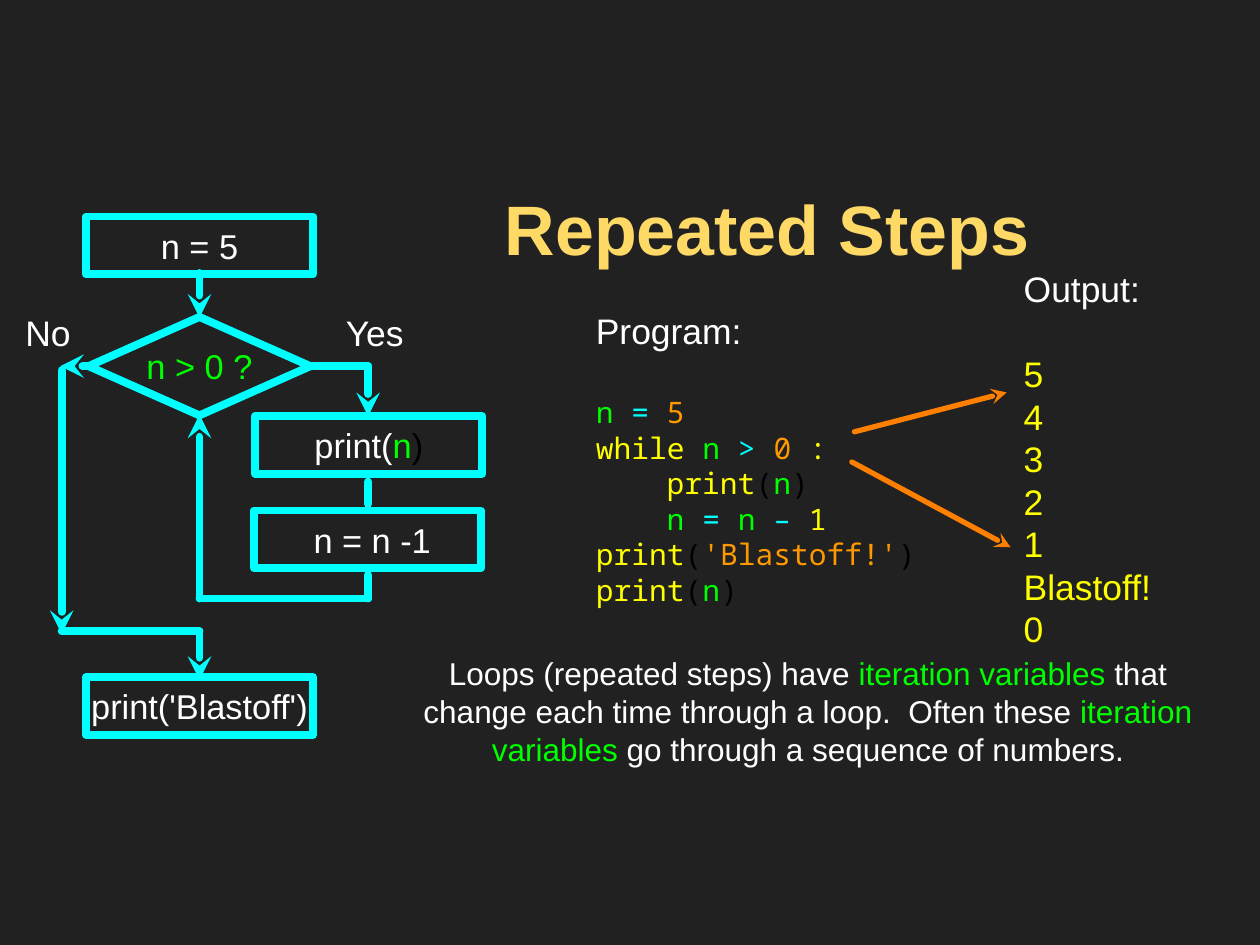
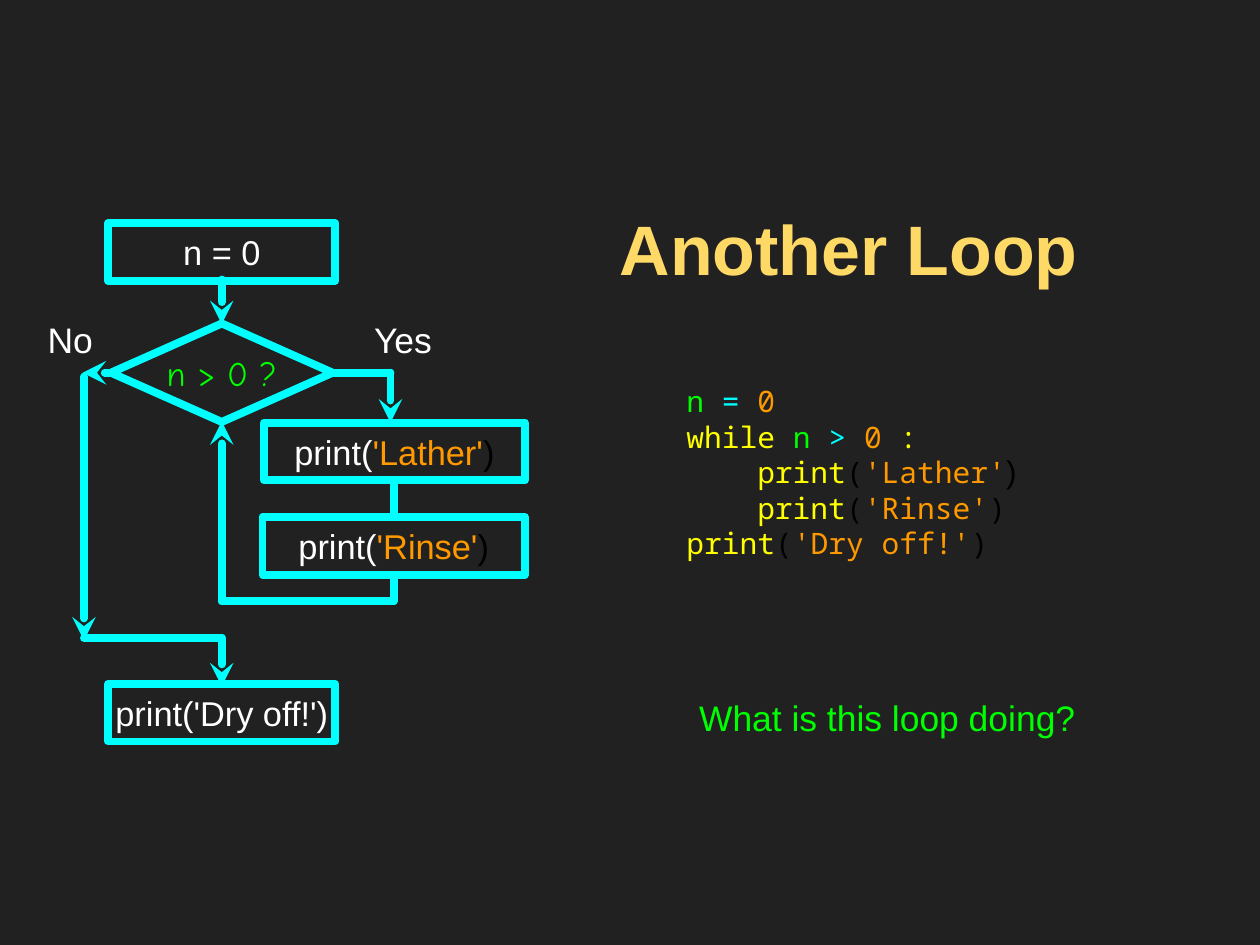
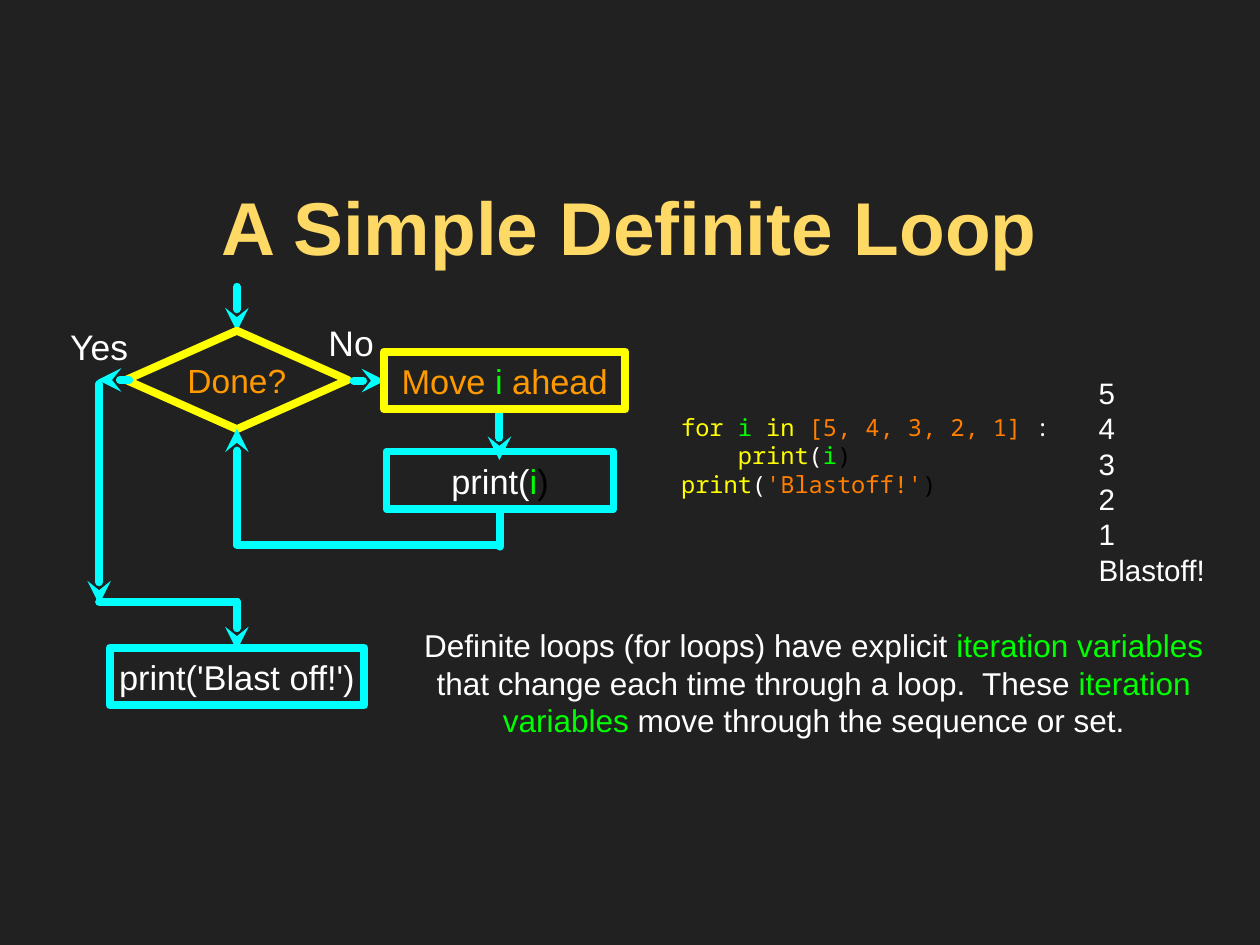
from pptx import Presentation
from pptx.dml.color import RGBColor
from pptx.enum.shapes import MSO_CONNECTOR as Connector, MSO_SHAPE as Preset
from pptx.enum.text import MSO_ANCHOR as Anchor, PP_ALIGN as Align
from pptx.oxml import parse_xml
from pptx.oxml.ns import nsdecls, qn
from pptx.util import Pt

# Shared look
BACKGROUND, GOLD, WHITE, BLACK = "212121", "FFD966", "FFFFFF", "000000"
CYAN, GREEN, YELLOW, AMBER, ORANGE = "00FFFF", "00FF00", "FFFF00", "FF9900", "FF7F00"
ARIAL, MONO, COMIC = "Arial", "Noto Sans Mono", "Comic Neue"
LABEL_SIZE, NODE_SIZE = 27, 26.2
LINE_RATIO = 1.2
INDENT = "indent"           # marks a code line that is indented by four letters
BOX_HEIGHT = 44
DIAMOND = (169, 75)

# Content. Spans are (text, colour[, font, size]).
# Flow positions are measured from the centre of the diamond.
SLIDES = [
    {
        "title": ("Repeated Steps", 53.3, (279, 138, 611, 71)),
        "flow": {
            "centre": (152, 279), "test": ("n > 0 ?", GREEN, ARIAL, NODE_SIZE),
            "test_line": CYAN, "start": "n = 5", "end": ("print('Blastoff')", 173),
            "exit_depth": 202, "back_depth": 177, "back_x": 128.5,
            "labels": [("No", -115.5, -25.5), ("Yes", 133.5, -25.5)],
            "steps": [
                (129, 60, 173, CYAN, [("print(", WHITE), ("n", GREEN), (")", BLACK)]),
                (128, 132, 173, CYAN, [(" n = n -1", WHITE)]),
            ],
            "arrows": [(128.5, 0, 128.5, 38)],
            "lines": [(84, 0, 128.5, 0), (128.5, 88, 128.5, 105), (128.5, 159, 128.5, 177)],
        },
        "pointers": [(651, 329, 767, 299), (649, 352, 770, 417)],
        "texts": [
            {"at": (454, 218, 250, 262), "size": 22.5, "font": MONO, "heading": "Program:",
             "lines": [
                 [("n ", GREEN), ("= ", CYAN), ("5", AMBER)],
                 [("while ", YELLOW), ("n ", GREEN), ("> ", CYAN), ("0", AMBER), (" :", YELLOW)],
                 [INDENT, ("print", YELLOW), ("(", BLACK), ("n", GREEN), (")", BLACK)],
                 [INDENT, ("n ", GREEN), ("= ", CYAN), ("n ", GREEN), ("–", CYAN), (" 1", YELLOW)],
                 [("print", YELLOW), ("(", BLACK), ("'Blastoff!'", AMBER), (")", BLACK)],
                 [("print", YELLOW), ("(", BLACK), ("n", GREEN), (")", BLACK)],
             ]},
            {"at": (780, 208, 102, 283), "size": 27, "font": ARIAL, "heading": "Output:",
             "lines": [[(value, YELLOW)] for value in ("5", "4", "3", "2", "1", "Blastoff!", "0")]},
            {"at": (302, 492.5, 627, 98), "size": 24, "font": ARIAL, "align": Align.CENTER,
             "lines": [[("Loops (repeated steps) have ", WHITE), ("iteration variables ", GREEN),
                        ("that change each time through a loop.  Often these ", WHITE),
                        ("iteration variables ", GREEN),
                        ("go through a sequence of numbers.", WHITE)]]},
        ],
    },
    {
        "title": ("Another Loop", 53.3, (403, 138, 487.5, 101.5)),
        "flow": {
            "centre": (169, 284), "test": ("n > 0 ?", GREEN, COMIC, NODE_SIZE),
            "test_line": CYAN, "start": "n = 0", "end": ("print('Dry off!')", 173),
            "exit_depth": 202, "back_depth": 174, "back_x": 131,
            "labels": [("No", -115.5, -25.5), ("Yes", 138, -25.5)],
            "steps": [
                (131.5, 60, 199, CYAN, [("print(", WHITE), ("'Lather'", AMBER), (")", BLACK)]),
                (131, 132, 200, CYAN, [("print(", WHITE), ("'Rinse'", AMBER), (")", BLACK)]),
            ],
            "arrows": [(128.5, 0, 128.5, 38)],
            "lines": [(84, 0, 128.5, 0), (131, 82, 131, 110), (131, 154, 131, 174)],
        },
        "pointers": [],
        "texts": [
            {"at": (523, 278, 297, 163), "size": 22.5, "font": MONO,
             "lines": [
                 [("n ", GREEN), ("= ", CYAN), ("0", AMBER)],
                 [("while ", YELLOW), ("n ", GREEN), ("> ", CYAN), ("0", AMBER), (" :", YELLOW)],
                 [INDENT, ("print", YELLOW), ("(", BLACK), ("'Lather'", AMBER),
                  (")", BLACK, ARIAL, 24)],
                 [INDENT, ("print", YELLOW), ("(", BLACK), ("'Rinse'", AMBER), (")", BLACK)],
                 [("print", YELLOW), ("(", BLACK), ("'Dry off!'", AMBER), (")", BLACK)],
             ]},
            {"at": (490, 528, 372, 37), "size": 27, "font": ARIAL, "align": Align.CENTER,
             "lines": [[("What is this loop doing?", GREEN)]]},
        ],
    },
    {
        "title": ("A Simple Definite Loop", 57, (68, 138, 823, 67)),
        "flow": {
            "centre": (180.5, 289.5), "test": ("Done?", AMBER, ARIAL, 25.5),
            "test_line": YELLOW, "start": None, "end": ("print('Blast off!')", 194),
            "exit_depth": 169, "back_depth": 125.5, "back_x": 200.5,
            "labels": [("Yes", -105, -25.5), ("No", 87, -29)],
            "steps": [
                (204, 0.5, 184, YELLOW, [("Move ", AMBER), ("i", GREEN), (" ahead", AMBER)]),
                (200.5, 76.5, 173, CYAN, [("print(", WHITE), ("i", GREEN), (")", BLACK)]),
            ],
            "arrows": [(89, 0.5, 113, 0.5), (200, 22, 200, 61)],
            "lines": [(200.5, 99, 200.5, 127)],
        },
        "pointers": [],
        "texts": [
            {"at": (519, 298, 302, 98), "size": 18, "font": MONO,
             "lines": [
                 [("for ", YELLOW), ("i ", GREEN), ("in ", YELLOW), ("[5, 4, 3, 2, 1] ", ORANGE),
                  (":", WHITE)],
                 [INDENT, ("print", YELLOW), ("(", WHITE), ("i", GREEN), (")", BLACK)],
                 [("print", YELLOW), ("(", WHITE), ("'Blastoff!'", ORANGE), (")", BLACK)],
             ]},
            {"at": (837, 271, 98, 191), "size": 22.5, "font": ARIAL,
             "lines": [[(value, WHITE)] for value in ("5", "4", "3", "2", "1", "Blastoff!")]},
            {"at": (321, 471, 598, 98), "size": 24, "font": ARIAL, "align": Align.CENTER,
             "lines": [[("Definite loops (for loops) have explicit ", WHITE),
                        ("iteration variables ", GREEN),
                        ("that change each time through a loop.  These ", WHITE),
                        ("iteration variables", GREEN),
                        (" move through the sequence or set.", WHITE)]]},
        ],
    },
]


# Drawing helpers
def colour(code):
    return RGBColor.from_string(code)


def apply(target, formats):
    for name, value in formats.items():
        setattr(target, name, value)


def prepare_frame(frame, margin=0, wrap=True):
    formats = dict.fromkeys(("margin_left", "margin_right", "margin_top", "margin_bottom"),
                            Pt(margin))
    apply(frame, {**formats, "word_wrap": wrap, "vertical_anchor": Anchor.MIDDLE})


def write_line(para, spans, size, font=ARIAL, align=Align.LEFT, gap=0, bold=False):
    apply(para, {"alignment": align, "line_spacing": Pt(size * LINE_RATIO),
                 "space_before": Pt(0), "space_after": Pt(gap)})
    if spans[0] == INDENT:
        para._p.get_or_add_pPr().set("marL", str(Pt(4 * 0.6 * size)))
        spans = spans[1:]
    for text, code, *special in spans:
        span = para.add_run()
        span.text = text
        name, points = special or (font, size)
        apply(span.font, {"name": name, "size": Pt(points), "bold": bold})
        span.font.color.rgb = colour(code)


def add_title(page, text, size, at):
    title = page.shapes.title
    apply(title, dict(zip(("left", "top", "width", "height"), map(Pt, at))))
    prepare_frame(title.text_frame, margin=2)
    para = title.text_frame.paragraphs[0]
    write_line(para, [(text, GOLD)], size, align=Align.CENTER, bold=True)
    shadow = parse_xml(
        f'<a:effectLst {nsdecls("a")}><a:outerShdw blurRad="38100" dist="38100" dir="2700000">'
        '<a:srgbClr val="000000"><a:alpha val="60000"/></a:srgbClr></a:outerShdw></a:effectLst>')
    para.runs[0]._r.rPr.find(qn("a:solidFill")).addnext(shadow)


def add_text(page, at, lines, size, font, heading=None, align=Align.LEFT):
    frame = page.shapes.add_textbox(*map(Pt, at)).text_frame
    prepare_frame(frame)
    para = frame.paragraphs[0]
    if heading:
        write_line(para, [(heading, WHITE)], LABEL_SIZE, gap=LABEL_SIZE * LINE_RATIO)
        para = frame.add_paragraph()
    for index, spans in enumerate(lines):
        if index:
            para = frame.add_paragraph()
        write_line(para, spans, size, font, align)


def add_node(page, preset, centre, width, height, line, spans):
    left, top = centre[0] - width / 2, centre[1] - height / 2
    node = page.shapes.add_shape(preset, *map(Pt, (left, top, width, height)))
    node.shadow.inherit = False
    node.fill.background()
    node.line.color.rgb = colour(line)
    node.line.width = Pt(6)
    node.line._ln.append(parse_xml(f'<a:round {nsdecls("a")}/>'))
    prepare_frame(node.text_frame, wrap=False)
    write_line(node.text_frame.paragraphs[0], spans, NODE_SIZE, align=Align.CENTER)


def add_line(page, ends, line=CYAN, width=6, arrow=False):
    connector = page.shapes.add_connector(Connector.STRAIGHT, *map(Pt, ends))
    connector.line.color.rgb = colour(line)
    connector.line.width = Pt(width)
    outline = connector._element.spPr.find(qn("a:ln"))
    outline.set("cap", "rnd")
    outline.append(parse_xml(f'<a:round {nsdecls("a")}/>'))
    if arrow:
        outline.append(parse_xml(f'<a:tailEnd {nsdecls("a")} type="stealth"/>'))
    connector._element.spPr.append(parse_xml(f'<a:effectLst {nsdecls("a")}/>'))


def add_flow(page, flow):
    x, y = flow["centre"]
    depth, back, back_x = flow["exit_depth"], flow["back_depth"], flow["back_x"]

    def draw(ends, arrow):
        x1, y1, x2, y2 = ends
        add_line(page, (x + x1, y + y1, x + x2, y + y2), arrow=arrow)

    def box(across, down, width, line, spans):
        add_node(page, Preset.RECTANGLE, (x + across, y + down), width, BOX_HEIGHT, line, spans)

    # Entry and test
    draw((0, -71, 0, -37), True)
    add_node(page, Preset.DIAMOND, (x, y), *DIAMOND, flow["test_line"], [flow["test"]])

    # Way out on the left, way back below, and the steps of this loop
    arrows = [(-82, 0, -106, 0), (-105, 3, -105, depth + 2), (0, depth, 0, depth + 37),
              (0, back, 0, 37)]
    lines = [(-105, depth, 0, depth), (0, back, back_x, back)]
    for ends in arrows + flow["arrows"]:
        draw(ends, True)
    for ends in lines + flow["lines"]:
        draw(ends, False)

    # Boxes and branch labels
    if flow["start"]:
        box(0, -92, 173, CYAN, [(flow["start"], WHITE)])
    for step in flow["steps"]:
        box(*step)
    text, width = flow["end"]
    box(0, depth + 57, width, CYAN, [(text, WHITE)])
    for text, across, down in flow["labels"]:
        add_text(page, (x + across - 30, y + down - 18.5, 60, 37), [[(text, WHITE)]],
                 LABEL_SIZE, ARIAL, align=Align.CENTER)


# Build the deck
deck = Presentation()
apply(deck, {"slide_width": Pt(960), "slide_height": Pt(720)})
backdrop = deck.slide_master.background.fill
backdrop.solid()
backdrop.fore_color.rgb = colour(BACKGROUND)

for content in SLIDES:
    page = deck.slides.add_slide(deck.slide_layouts[5])
    add_title(page, *content["title"])
    add_flow(page, content["flow"])
    for ends in content["pointers"]:
        add_line(page, ends, ORANGE, 4, arrow=True)
    for block in content["texts"]:
        add_text(page, **block)

deck.save("out.pptx")
